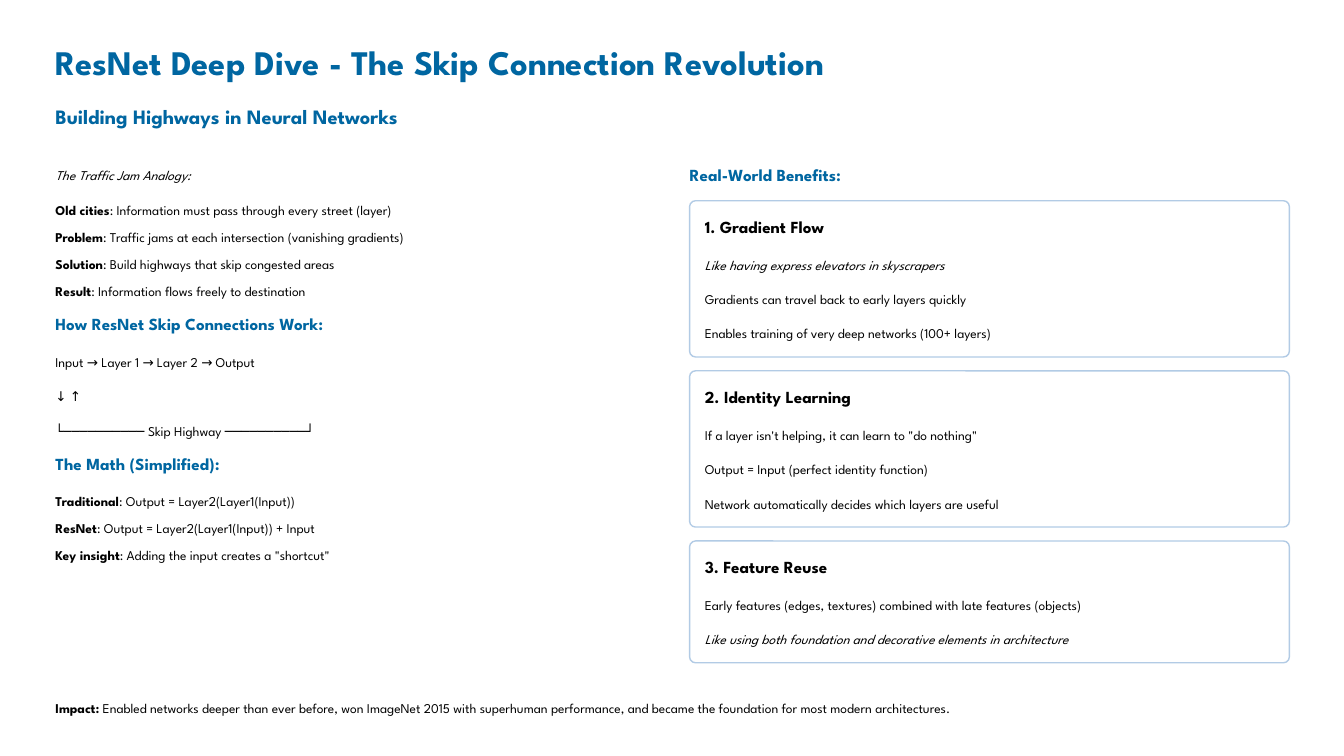
from dataclasses import dataclass

from pptx import Presentation
from pptx.dml.color import RGBColor
from pptx.enum.shapes import MSO_SHAPE as Shape
from pptx.util import Inches, Pt

FONT = "League Spartan"
COLORS = {"blue": "0066A1", "black": "000000", "white": "FFFFFF", "border": "B2CBE5"}

LEFT, RIGHT = 0.66, 8.21
COLUMN_W, LINE_H = 7.14, 0.26
LIST_STEP, PARA_STEP = 0.32, 0.41
PADDING, RADIUS = 0.18, 0.07
CARDS_TOP, CARDS_BOTTOM = 2.39, 7.89


@dataclass(frozen=True)
class Style:
    size: float
    leading: float
    color: str = "black"
    bold: bool = False
    italic: bool = False


TITLE = Style(29.5, 36.5, "blue", bold=True)
SUBTITLE = Style(17.5, 22, "blue", bold=True)
HEADING = Style(14.5, 18, "blue", bold=True)
CARD_HEADING = Style(14.5, 18, bold=True)
BODY = Style(11.5, 18.5)
ANALOGY = Style(11.5, 18.5, italic=True)


@dataclass(frozen=True)
class Line:
    text: str
    style: Style = BODY
    lead: str = ""


@dataclass(frozen=True)
class Block:
    top: float
    step: float
    lines: tuple[Line, ...]


@dataclass(frozen=True)
class Card:
    title: str
    lines: tuple[Line, ...]

    @property
    def height(self) -> float:
        return 0.63 + PARA_STEP * len(self.lines)


HEADINGS = [
    (LEFT, 0.47, 9.92, 0.51, Line("ResNet Deep Dive - The Skip Connection Revolution", TITLE)),
    (LEFT, 1.23, 4.43, 0.31, Line("Building Highways in Neural Networks", SUBTITLE)),
    (LEFT, 3.73, 3.52, LINE_H, Line("How ResNet Skip Connections Work:", HEADING)),
    (LEFT, 5.39, 2.12, LINE_H, Line("The Math (Simplified):", HEADING)),
    (RIGHT, 1.95, 2.05, LINE_H, Line("Real-World Benefits:", HEADING)),
]

BLOCKS = [
    Block(1.93, PARA_STEP, (Line("The Traffic Jam Analogy:", ANALOGY),)),
    Block(2.34, LIST_STEP, (
        Line(": Information must pass through every street (layer)", lead="Old cities"),
        Line(": Traffic jams at each intersection (vanishing gradients)", lead="Problem"),
        Line(": Build highways that skip congested areas", lead="Solution"),
        Line(": Information flows freely to destination", lead="Result"),
    )),
    Block(4.15, PARA_STEP, (
        Line("Input → Layer 1 → Layer 2 → Output"),
        Line("↓ ↑"),
        Line("└────────── Skip Highway ──────────┘"),
    )),
    Block(5.81, LIST_STEP, (
        Line(": Output = Layer2(Layer1(Input))", lead="Traditional"),
        Line(": Output = Layer2(Layer1(Input)) + Input", lead="ResNet"),
        Line(': Adding the input creates a "shortcut"', lead="Key insight"),
    )),
]

CARDS = [
    Card("1. Gradient Flow", (
        Line("Like having express elevators in skyscrapers", ANALOGY),
        Line("Gradients can travel back to early layers quickly"),
        Line("Enables training of very deep networks (100+ layers)"),
    )),
    Card("2. Identity Learning", (
        Line('If a layer isn\'t helping, it can learn to "do nothing"'),
        Line("Output = Input (perfect identity function)"),
        Line("Network automatically decides which layers are useful"),
    )),
    Card("3. Feature Reuse", (
        Line("Early features (edges, textures) combined with late features (objects)"),
        Line("Like using both foundation and decorative elements in architecture", ANALOGY),
    )),
]

IMPACT = Line(
    " Enabled networks deeper than ever before, won ImageNet 2015 with superhuman "
    "performance, and became the foundation for most modern architectures.",
    lead="Impact:",
)


def rgb(name: str) -> RGBColor:
    return RGBColor.from_string(COLORS[name])


def add_line(s, left: float, top: float, width: float, height: float, line: Line) -> None:
    sp = s.shapes.add_textbox(Inches(left), Inches(top), Inches(width), Inches(height))
    tf = sp.text_frame
    tf.word_wrap = True
    tf.margin_left = tf.margin_right = tf.margin_top = tf.margin_bottom = 0
    p = tf.paragraphs[0]
    p.line_spacing = Pt(line.style.leading)
    if line.lead:
        p.text = line.lead
        p.add_run().text = line.text
    else:
        p.text = line.text
    for i, r in enumerate(p.runs):
        r.font.name = FONT
        r.font.size = Pt(line.style.size)
        r.font.bold = line.style.bold or bool(line.lead and i == 0)
        r.font.italic = line.style.italic
        r.font.color.rgb = rgb(line.style.color)


def add_block(s, left: float, width: float, block: Block) -> None:
    for i, line in enumerate(block.lines):
        add_line(s, left, block.top + i * block.step, width, LINE_H, line)


def add_card(s, top: float, card: Card) -> None:
    sp = s.shapes.add_shape(
        Shape.ROUNDED_RECTANGLE, Inches(RIGHT), Inches(top), Inches(COLUMN_W), Inches(card.height)
    )
    sp.adjustments[0] = RADIUS / card.height
    sp.shadow.inherit = False
    sp.fill.solid()
    sp.fill.fore_color.rgb = rgb("white")
    sp.line.color.rgb = rgb("border")
    sp.line.width = Pt(1.2)
    left = RIGHT + PADDING
    add_line(s, left, top + PADDING, 2.05, LINE_H, Line(card.title, CARD_HEADING))
    add_block(s, left, COLUMN_W - 2 * PADDING, Block(top + 0.6, PARA_STEP, card.lines))


def main() -> None:
    prs = Presentation()
    prs.slide_width, prs.slide_height = Inches(16), Inches(9)
    s = prs.slides.add_slide(prs.slide_layouts[6])
    s.background.fill.solid()
    s.background.fill.fore_color.rgb = rgb("white")

    for heading in HEADINGS:
        add_line(s, *heading)
    for block in BLOCKS:
        add_block(s, LEFT, COLUMN_W, block)

    free = CARDS_BOTTOM - CARDS_TOP - sum(card.height for card in CARDS)
    gap = free / (len(CARDS) - 1)
    top = CARDS_TOP
    for card in CARDS:
        add_card(s, top, card)
        top += card.height + gap

    add_line(s, LEFT, 8.27, RIGHT + COLUMN_W - LEFT, LINE_H, IMPACT)
    prs.save("out.pptx")


if __name__ == "__main__":
    main()
